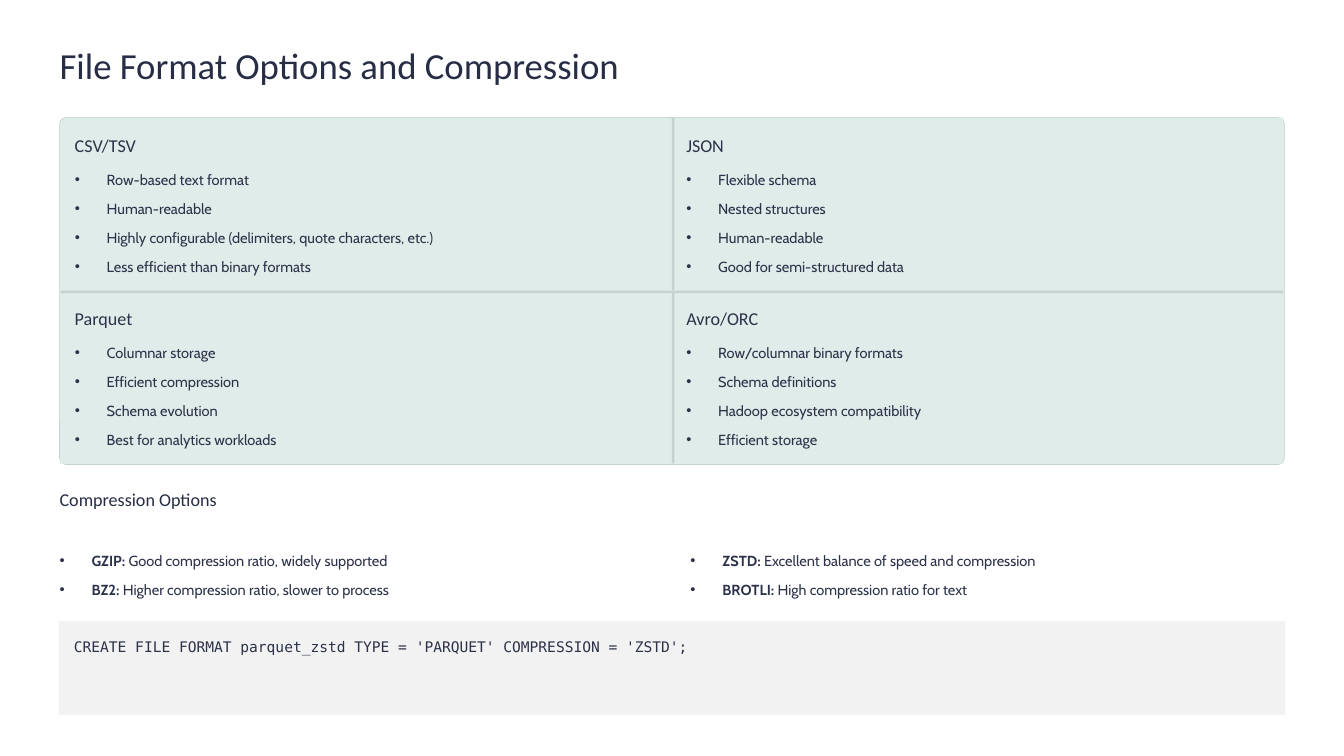
from dataclasses import dataclass

from lxml.etree import SubElement
from pptx import Presentation
from pptx.dml.color import RGBColor
from pptx.enum.shapes import MSO_SHAPE
from pptx.enum.text import MSO_ANCHOR, MSO_AUTO_SIZE, PP_ALIGN
from pptx.oxml.ns import qn
from pptx.util import Inches, Pt


@dataclass(frozen=True)
class Theme:
    background: RGBColor = RGBColor.from_string("FFFFFF")
    title_color: RGBColor = RGBColor.from_string("272D45")
    text_color: RGBColor = RGBColor.from_string("2C3249")
    panel_fill: RGBColor = RGBColor.from_string("DFECE9")
    rule_color: RGBColor = RGBColor.from_string("C5D2CF")
    code_fill: RGBColor = RGBColor.from_string("F2F2F2")
    heading_font: str = "Calibri"
    body_font: str = "Cabin"
    code_font: str = "DejaVu Sans Mono"
    title_size: float = 31.5
    heading_size: float = 15.5
    body_size: float = 12.5


THEME = Theme()

LEFT, WIDTH = 0.71, 14.58
GRID_LEFT, GRID_TOP = 0.72, 1.4
CELL_WIDTH, CELL_HEIGHT = 7.28, 2.06
CELL_PADDING = 0.17
RULE_WEIGHT = 0.03
LIST_INDENT = 0.38

FORMATS = [
    ("CSV/TSV", [
        "Row-based text format",
        "Human-readable",
        "Highly configurable (delimiters, quote characters, etc.)",
        "Less efficient than binary formats",
    ]),
    ("JSON", [
        "Flexible schema",
        "Nested structures",
        "Human-readable",
        "Good for semi-structured data",
    ]),
    ("Parquet", [
        "Columnar storage",
        "Efficient compression",
        "Schema evolution",
        "Best for analytics workloads",
    ]),
    ("Avro/ORC", [
        "Row/columnar binary formats",
        "Schema definitions",
        "Hadoop ecosystem compatibility",
        "Efficient storage",
    ]),
]

COMPRESSION = [
    (LEFT, [
        ("GZIP:", " Good compression ratio, widely supported"),
        ("BZ2:", " Higher compression ratio, slower to process"),
    ]),
    (8.22, [
        ("ZSTD:", " Excellent balance of speed and compression"),
        ("BROTLI:", " High compression ratio for text"),
    ]),
]

CODE = "CREATE FILE FORMAT parquet_zstd TYPE = 'PARQUET' COMPRESSION = 'ZSTD';"


def place(box, left, top, width, height):
    box.left, box.top = Inches(left), Inches(top)
    box.width, box.height = Inches(width), Inches(height)
    frame = box.text_frame
    frame.margin_left = frame.margin_right = 0
    frame.margin_top = frame.margin_bottom = 0
    frame.vertical_anchor = MSO_ANCHOR.TOP
    frame.auto_size = MSO_AUTO_SIZE.NONE
    frame.word_wrap = True


def format_para(para, line_spacing):
    para.alignment = PP_ALIGN.LEFT
    para.line_spacing = Pt(line_spacing)
    para.space_before = Pt(0)


def format_span(span, font, size, color, bold=False):
    span.font.name = font
    span.font.size = Pt(size)
    span.font.color.rgb = color
    span.font.bold = bold


def write_line(box, text, font, size, color, line_spacing):
    box.text_frame.text = text
    para = box.text_frame.paragraphs[0]
    format_para(para, line_spacing)
    format_span(para.runs[0], font, size, color)


def add_text_box(page, left, top, width, height):
    box = page.shapes.add_textbox(0, 0, 0, 0)
    place(box, left, top, width, height)
    return box


def add_heading(page, text, left, top, color):
    box = add_text_box(page, left, top, 6.93, 0.28)
    write_line(box, text, THEME.heading_font, THEME.heading_size, color, 19.5)


def add_bullet(para):
    properties = para._p.get_or_add_pPr()
    properties.set("marL", str(Inches(LIST_INDENT)))
    properties.set("indent", str(-Inches(LIST_INDENT)))
    SubElement(properties, qn("a:buFont")).set("typeface", "Arial")
    SubElement(properties, qn("a:buChar")).set("char", "•")


def write_list(box, items):
    frame = box.text_frame
    for index, (label, detail) in enumerate(items):
        para = frame.add_paragraph() if index else frame.paragraphs[0]
        add_bullet(para)
        format_para(para, 20)
        para.space_after = Pt(5)
        for text, bold in ((label, True), (detail, False)):
            if text:
                span = para.add_run()
                span.text = text
                format_span(span, THEME.body_font, THEME.body_size, THEME.text_color, bold)


def add_block(page, preset, left, top, width, height, fill, line=None, radius=None):
    block = page.shapes.add_shape(
        preset, Inches(left), Inches(top), Inches(width), Inches(height))
    block.shadow.inherit = False
    block.fill.solid()
    block.fill.fore_color.rgb = fill
    if line is None:
        block.line.fill.background()
    else:
        block.line.color.rgb = line
        block.line.width = Pt(0.6)
    if radius is not None:
        block.adjustments[0] = radius


def add_cell(page, row, column, left, top):
    preset = MSO_SHAPE.RECTANGLE if row or column else MSO_SHAPE.ROUNDED_RECTANGLE
    radius = None if row or column else 0.036
    add_block(page, preset, left, top, CELL_WIDTH, CELL_HEIGHT,
              THEME.panel_fill, radius=radius)
    if column:
        add_block(page, MSO_SHAPE.ROUNDED_RECTANGLE, left, top, RULE_WEIGHT,
                  CELL_HEIGHT, THEME.rule_color, radius=0.5)
    if row:
        add_block(page, MSO_SHAPE.ROUNDED_RECTANGLE, left, top, CELL_WIDTH,
                  RULE_WEIGHT, THEME.rule_color, radius=0.5)


def add_format_grid(page):
    add_block(page, MSO_SHAPE.ROUNDED_RECTANGLE, LEFT, 1.4, WIDTH, 4.13,
              THEME.panel_fill, THEME.rule_color, 0.018)
    bodies = list(page.placeholders)[1:]
    for index, (body, (name, traits)) in enumerate(zip(bodies, FORMATS)):
        row, column = divmod(index, 2)
        left = GRID_LEFT + column * CELL_WIDTH
        top = GRID_TOP + row * CELL_HEIGHT
        add_cell(page, row, column, left, top)
        add_heading(page, name, left + CELL_PADDING, top + 0.19, THEME.text_color)
        place(body, left + CELL_PADDING, top + 0.56, 6.93, 1.39)
        write_list(body, [("", trait) for trait in traits])
        page.shapes._spTree.append(body._element)


def add_compression(page):
    add_heading(page, "Compression Options", LEFT, 5.8, THEME.title_color)
    for left, options in COMPRESSION:
        write_list(add_text_box(page, left, 6.5, 7.07, 0.69), options)


def add_code(page):
    add_block(page, MSO_SHAPE.ROUNDED_RECTANGLE, 0.7, 7.39, 14.6, 1.12,
              THEME.code_fill, radius=0.024)
    box = add_text_box(page, 0.88, 7.53, 14.24, 0.85)
    write_line(box, CODE, THEME.code_font, THEME.body_size, THEME.text_color, 20)


def main():
    deck = Presentation()
    deck.slide_width, deck.slide_height = Inches(16), Inches(9)
    page = deck.slides.add_slide(deck.slide_layouts.get_by_name("Comparison"))
    page.background.fill.solid()
    page.background.fill.fore_color.rgb = THEME.background
    title = page.shapes.title
    place(title, LEFT, 0.49, WIDTH, 0.55)
    write_line(title, "File Format Options and Compression",
               THEME.heading_font, THEME.title_size, THEME.title_color, 39.5)
    add_format_grid(page)
    add_compression(page)
    add_code(page)
    deck.save("out.pptx")


if __name__ == "__main__":
    main()
